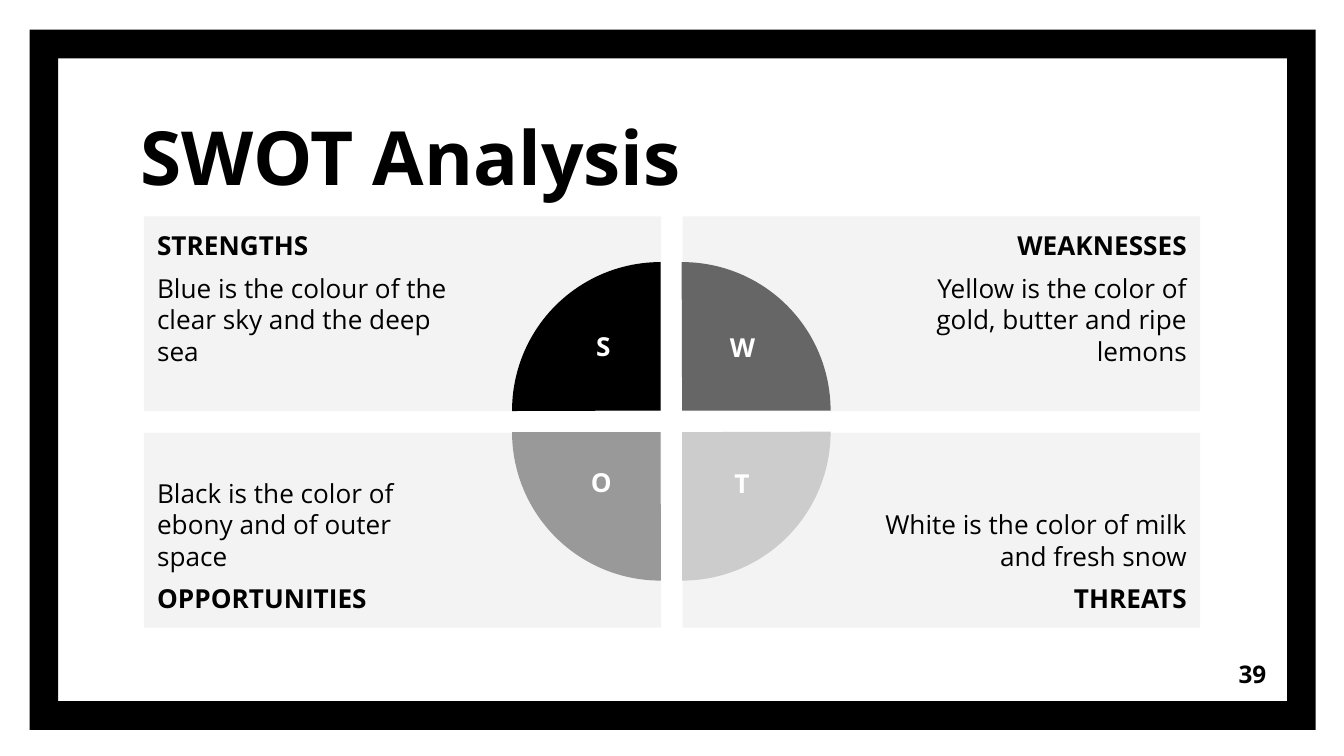
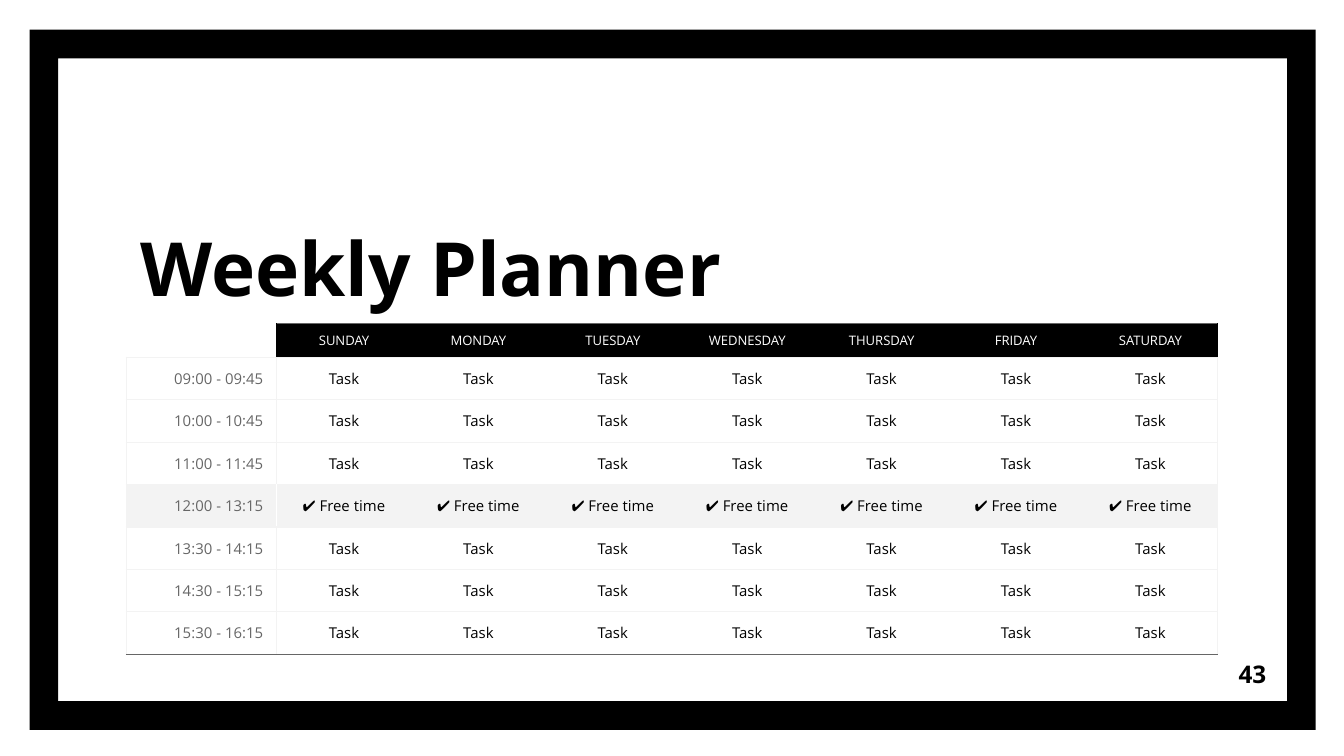
"""Builds a SWOT slide and a weekly planner slide."""
from lxml import etree
from pptx import Presentation
from pptx.dml.color import RGBColor
from pptx.enum.shapes import MSO_SHAPE
from pptx.enum.text import MSO_ANCHOR, PP_ALIGN
from pptx.oxml.ns import qn
from pptx.util import Inches, Pt

RECT, FRAME, PIE = MSO_SHAPE.RECTANGLE, MSO_SHAPE.FRAME, MSO_SHAPE.PIE
TOP, MID, LOW = MSO_ANCHOR.TOP, MSO_ANCHOR.MIDDLE, MSO_ANCHOR.BOTTOM
LEFT, MIDDLE, RIGHT = PP_ALIGN.LEFT, PP_ALIGN.CENTER, PP_ALIGN.RIGHT
BLACK = RGBColor(0x00, 0x00, 0x00)
WHITE = RGBColor(0xFF, 0xFF, 0xFF)
DARK = RGBColor(0x66, 0x66, 0x66)
GREY = RGBColor(0x99, 0x99, 0x99)
SILVER = RGBColor(0xCC, 0xCC, 0xCC)
LIGHT = RGBColor(0xF3, 0xF3, 0xF3)
FONT = "Open Sans"
PLAIN = "{2D5ABB26-0587-4C30-8999-92F81FD0307C}"

PANELS = [
    ("STRENGTHS", "Blue is the colour of the clear sky and the deep sea"),
    ("WEAKNESSES", "Yellow is the color of gold, butter and ripe lemons"),
    ("OPPORTUNITIES", "Black is the color of ebony and of outer space"),
    ("THREATS", "White is the color of milk and fresh snow"),
]
PIES = [(0, 0, 0, BLACK), (1, 0, 90, DARK), (1, 1, 180, SILVER), (0, 1, 270, GREY)]
LABELS = [
    ("S", (4.32, 2.41, 0.34, 0.38)),
    ("W", (5.25, 2.42, 0.55, 0.37)),
    ("O", (4.29, 3.42, 0.37, 0.38)),
    ("T", (5.35, 3.43, 0.34, 0.37)),
]
DAYS = ["SUNDAY", "MONDAY", "TUESDAY", "WEDNESDAY", "THURSDAY", "FRIDAY", "SATURDAY"]
HOURS = ["09:00 - 09:45", "10:00 - 10:45", "11:00 - 11:45", "12:00 - 13:15",
         "13:30 - 14:15", "14:30 - 15:15", "15:30 - 16:15"]
BREAK = 4


def put(item, values):
    """Set each named attribute of an item."""
    for name, value in values.items():
        setattr(item, name, value)


def place(box):
    """Turn a box in inches into lengths."""
    return [Inches(n) for n in box]


def write(para, text, size, color=BLACK, bold=False, **values):
    """Write one run in a paragraph and format both."""
    run = para.add_run()
    run.text = text
    put(run.font, {"name": FONT, "size": Pt(size), "bold": bold})
    run.font.color.rgb = color
    put(para, values)


def setup(frame, anchor=TOP, ins=(0.1, 0.1, 0.1, 0.1)):
    """Set wrapping, anchor and insets of a text frame."""
    put(frame, {"word_wrap": True, "vertical_anchor": anchor})
    names = ("margin_left", "margin_top", "margin_right", "margin_bottom")
    put(frame, dict(zip(names, place(ins))))


def add_text(slide, text, box, size, color=BLACK, align=LEFT, **values):
    """Add a bold text box."""
    frame = slide.shapes.add_textbox(*place(box)).text_frame
    setup(frame, **values)
    write(frame.paragraphs[0], text, size, color, True, alignment=align)


def add_form(slide, kind, box, color, adjust=(), turn=0):
    """Add a flat shape without a line."""
    form = slide.shapes.add_shape(kind, *place(box))
    form.shadow.inherit = False
    form.fill.solid()
    form.fill.fore_color.rgb = color
    form.line.fill.background()
    form.rotation = turn
    for i, value in enumerate(adjust):
        form.adjustments[i] = value
    return form


def add_page(deck, title, height, number):
    """Add a framed slide with its title and number."""
    slide = deck.slides.add_slide(deck.slide_layouts[6])
    add_form(slide, FRAME, (0.22, 0.22, 9.57, 5.21), BLACK, [0.041])
    add_text(slide, title, (0.95, 0.93, 5.57, height), 40, anchor=LOW)
    add_text(slide, number, (8.92, 4.8, 0.6, 0.43), 13, align=RIGHT, anchor=MID)
    return slide


def add_panel(slide, row, col, head, body):
    """Add one panel, its heading towards the outer edge."""
    box = (1.07 + 4.01 * col, 1.61 + 1.61 * row, 3.85, 1.45)
    frame = add_form(slide, RECT, box, LIGHT).text_frame
    ins = (1.5, 0.1, 0.1, 0.1) if col else (0.1, 0.1, 1.5, 0.1)
    setup(frame, LOW if row else TOP, ins)
    align = RIGHT if col else LEFT
    parts = [(head, True), (body, False)]
    first, last = reversed(parts) if row else parts
    write(frame.paragraphs[0], first[0], 14, bold=first[1], alignment=align)
    write(frame.add_paragraph(), last[0], 14, bold=last[1], alignment=align,
          space_before=Pt(6), space_after=Pt(6))


def edge(cell, lines):
    """Draw the given sides of a cell and clear the others."""
    props = cell._tc.get_or_add_tcPr()
    for side in "LRTB":
        line = etree.SubElement(props, qn("a:ln" + side), w=str(Pt(0.75)))
        if side in lines:
            fill = etree.SubElement(line, qn("a:solidFill"))
            etree.SubElement(fill, qn("a:srgbClr"), val=str(lines[side]))
        else:
            etree.SubElement(line, qn("a:noFill"))


def sides(row, col):
    """Find the line colours of a planner cell."""
    last = len(DAYS)
    rim = LIGHT if row else BLACK
    inner = WHITE if row == BREAK else rim
    lines = {"B": DARK if row == len(HOURS) else LIGHT}
    if row or col:
        lines["T"] = LIGHT if row else DARK
    if col == 0:
        lines["R"] = inner
        if row:
            lines["L"] = rim
    elif col == 1:
        lines["L"] = inner
    elif col == last:
        lines["R"] = rim
    return lines


def add_cell(cell, row, col):
    """Fill in and format one planner cell."""
    edge(cell, sides(row, col))
    cell.vertical_anchor = MID
    para = cell.text_frame.paragraphs[0]
    shade = None
    if row == BREAK:
        shade = LIGHT
    elif row == 0 and col:
        shade = BLACK
    if shade is None:
        cell.fill.background()
    else:
        cell.fill.solid()
        cell.fill.fore_color.rgb = shade
    if row and col:
        text = "✔ Free time" if row == BREAK else "Task"
        write(para, text, 8, alignment=MIDDLE)
    elif row:
        write(para, HOURS[row - 1], 8, DARK, alignment=RIGHT)
    elif col:
        write(para, DAYS[col - 1], 7, WHITE, alignment=MIDDLE)
    else:
        etree.SubElement(para._p, qn("a:endParaRPr"), sz="700")


def add_plan(slide):
    """Add the planner table."""
    rows, cols = len(HOURS) + 1, len(DAYS) + 1
    box = place((0.94, 2.41, 8.12, 2.46))
    table = slide.shapes.add_table(rows, cols, *box).table
    put(table, {"first_row": False, "horz_banding": False})
    table._tbl.tblPr.find(qn("a:tableStyleId")).text = PLAIN
    for i, col in enumerate(table.columns):
        col.width = Inches(1 if i else 1.12)
    for i, row in enumerate(table.rows):
        row.height = Inches(2.21 / len(HOURS) if i else 0.25)
        for j, cell in enumerate(row.cells):
            add_cell(cell, i, j)


def add_swot(slide):
    """Add the four panels, the pie and its letters."""
    for i, (head, body) in enumerate(PANELS):
        add_panel(slide, *divmod(i, 2), head, body)
    for col, row, turn, color in PIES:
        box = (3.81 + 0.16 * col, 1.95 + 0.16 * row, 2.21, 2.21)
        add_form(slide, PIE, box, color, [107.89, 162], turn)
    for text, box in LABELS:
        add_text(slide, text, box, 14, WHITE, MIDDLE, ins=(0.1, 0.05, 0.1, 0.05))


def main():
    """Build and save the deck."""
    deck = Presentation()
    put(deck, {"slide_width": Inches(10), "slide_height": Inches(10 * 9 / 16)})
    add_swot(add_page(deck, "SWOT Analysis", 0.66, "39"))
    add_plan(add_page(deck, "Weekly Planner", 1.49, "43"))
    deck.save("out.pptx")


if __name__ == "__main__":
    main()
